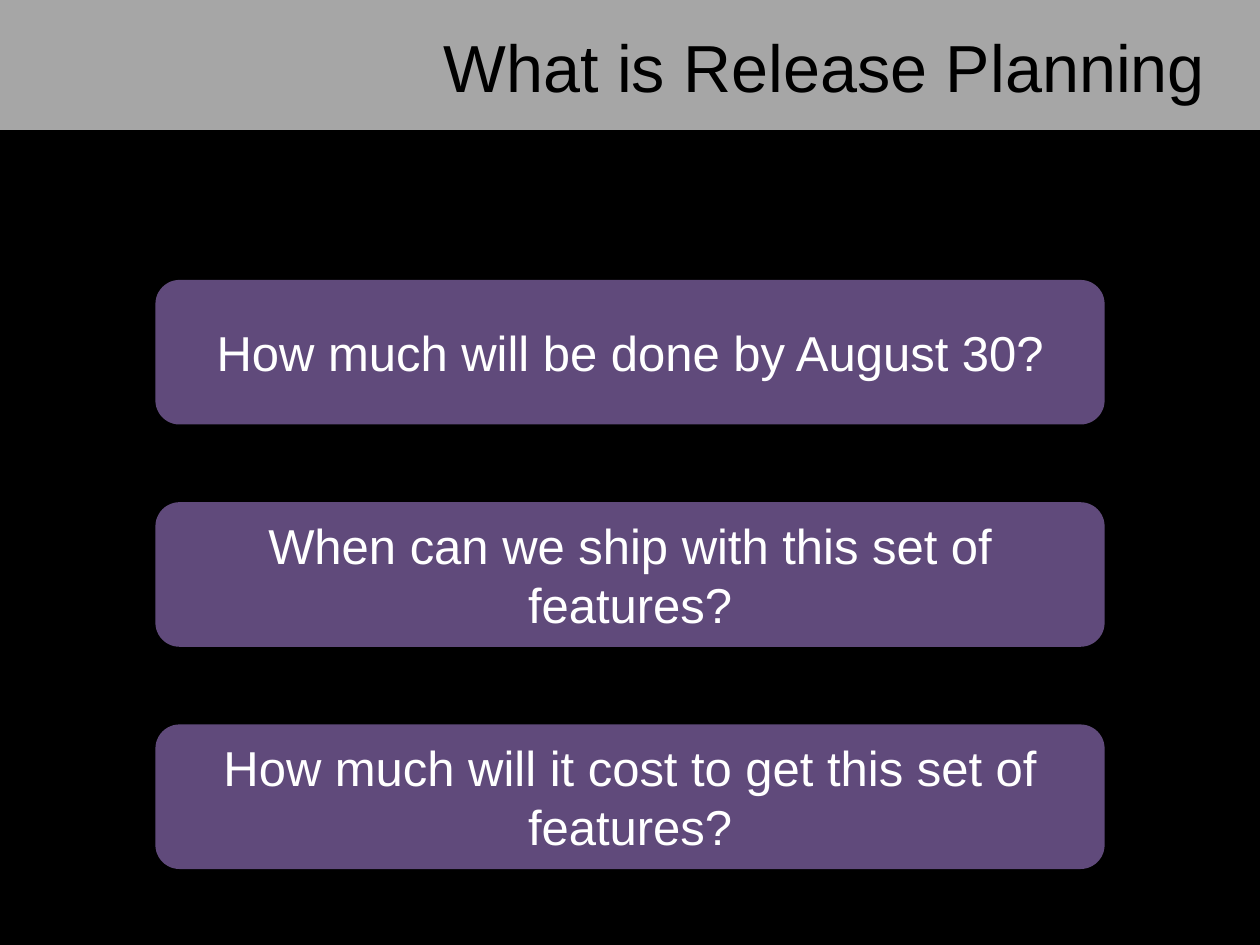
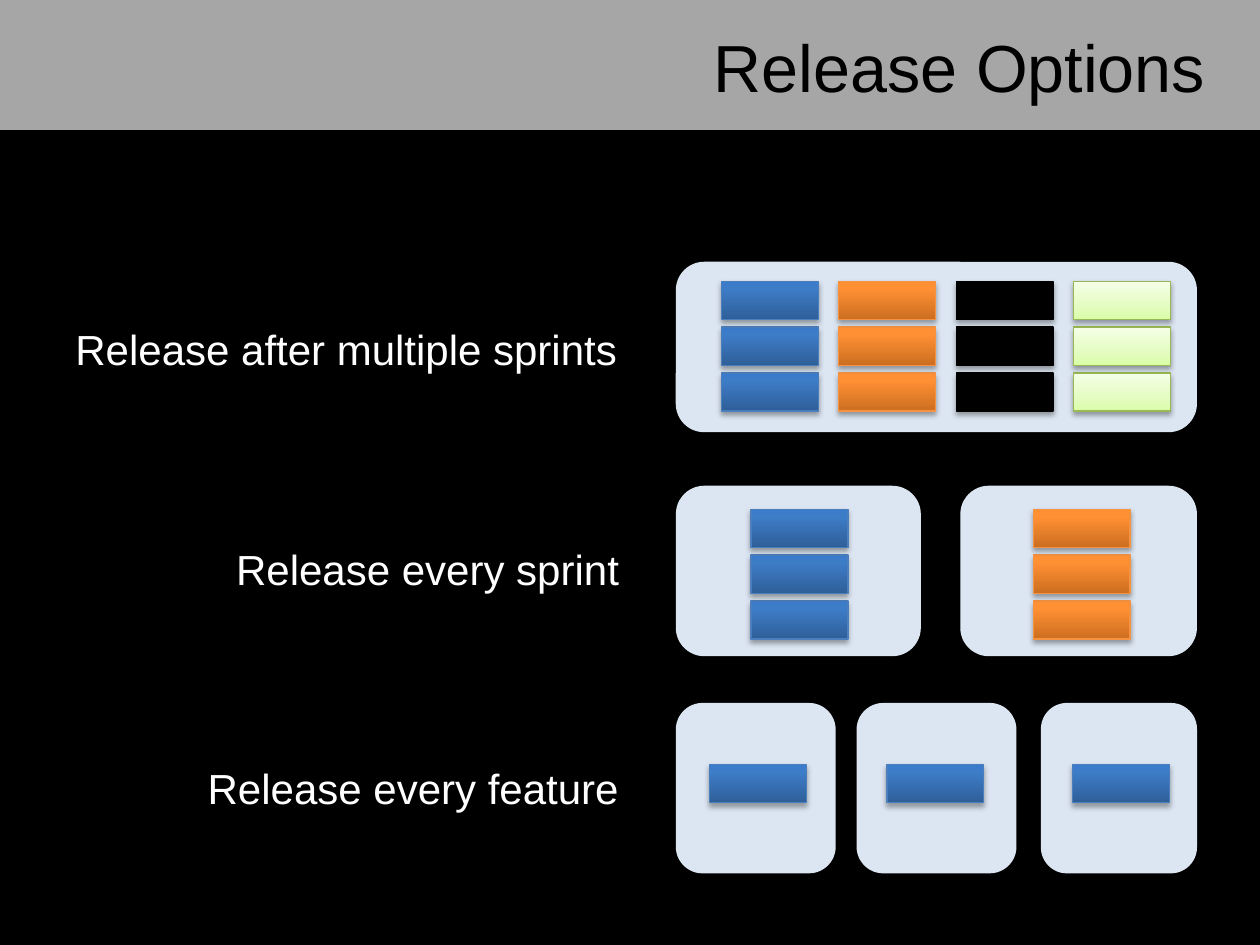
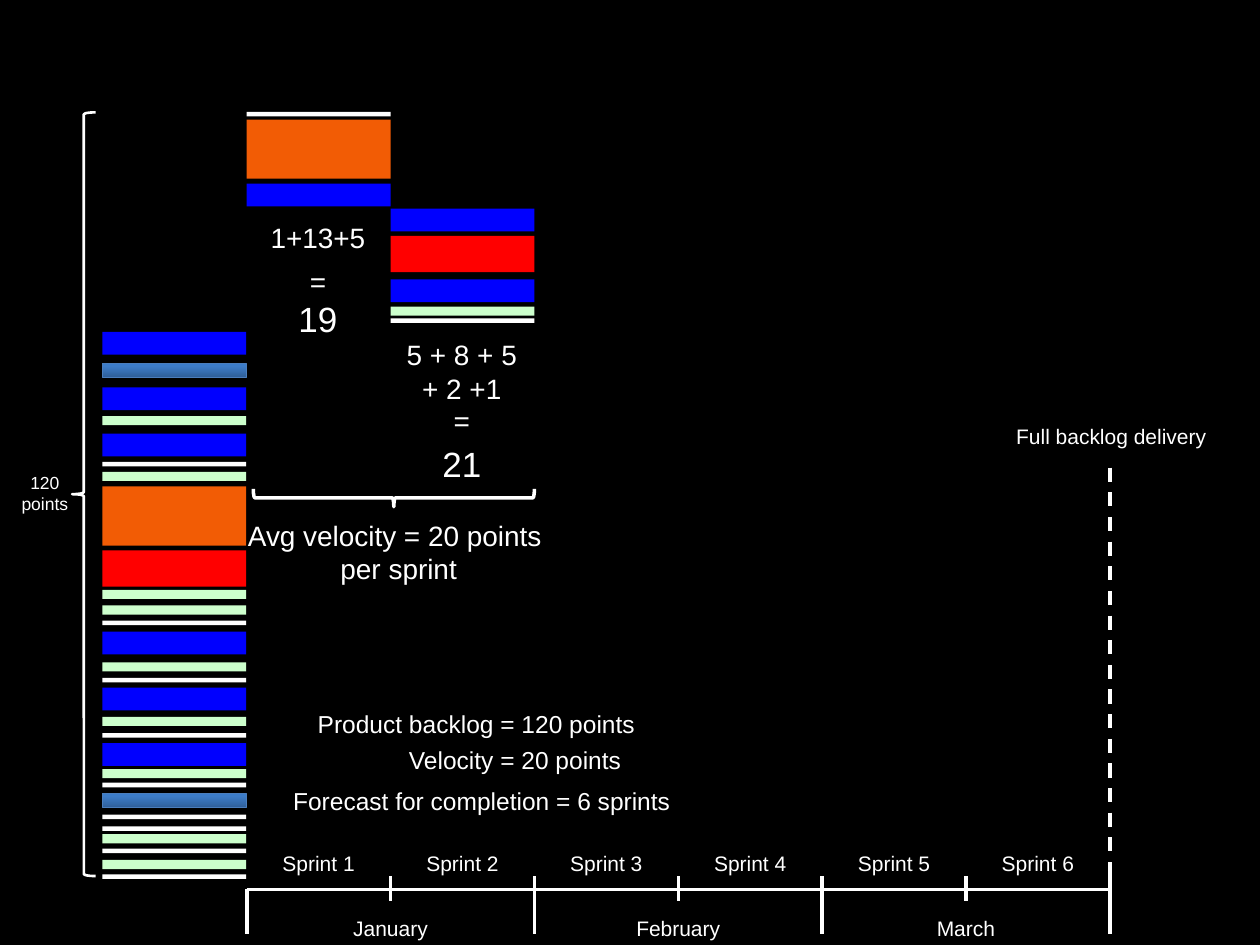
from collections import namedtuple
from copy import deepcopy

from lxml.etree import SubElement
from pptx import Presentation
from pptx.dml.color import RGBColor
from pptx.enum.dml import MSO_LINE
from pptx.enum.shapes import MSO_CONNECTOR, MSO_SHAPE
from pptx.enum.text import MSO_ANCHOR, MSO_AUTO_SIZE, PP_ALIGN
from pptx.oxml.ns import qn
from pptx.util import Pt

BLACK = RGBColor(0x00, 0x00, 0x00)
WHITE = RGBColor(0xFF, 0xFF, 0xFF)
GREY = RGBColor(0xA6, 0xA6, 0xA6)
PURPLE = RGBColor(0x60, 0x4A, 0x7B)
PALE_BLUE = RGBColor(0xDC, 0xE6, 0xF2)
BLUE = RGBColor(0x00, 0x00, 0xFF)
ORANGE = RGBColor(0xF2, 0x5C, 0x05)
RED = RGBColor(0xFF, 0x00, 0x00)
MINT = RGBColor(0xCC, 0xFF, 0xCC)
STEEL_DARK = RGBColor(0x2F, 0x5F, 0x99)
STEEL_MIDDLE = RGBColor(0x3D, 0x7C, 0xC7)
STEEL_LIGHT = RGBColor(0x3A, 0x7C, 0xCB)
STEEL_EDGE = RGBColor(0x4B, 0x7E, 0xBC)
AMBER_DARK = RGBColor(0xCC, 0x6E, 0x20)
AMBER_MIDDLE = RGBColor(0xFF, 0x90, 0x34)
AMBER_LIGHT = RGBColor(0xFF, 0x91, 0x36)
AMBER_EDGE = RGBColor(0xF6, 0x92, 0x40)
LIME_DARK = RGBColor(0xDA, 0xFD, 0xA7)
LIME_MIDDLE = RGBColor(0xE4, 0xFC, 0xC2)
LIME_LIGHT = RGBColor(0xF5, 0xFF, 0xE7)
LIME_EDGE = RGBColor(0x98, 0xB9, 0x55)

FONT = "Arial"
PAGE_WIDTH, PAGE_HEIGHT = 720, 540
BAND_HEIGHT = 74.2

Finish = namedtuple("Finish", "fill edge")
STEEL = Finish([(0, STEEL_DARK), (0.8, STEEL_MIDDLE), (1, STEEL_LIGHT)], STEEL_EDGE)
AMBER = Finish([(0, AMBER_DARK), (0.8, AMBER_MIDDLE), (1, AMBER_LIGHT)], AMBER_EDGE)
COAL = Finish(BLACK, BLACK)
LIME = Finish([(0, LIME_DARK), (0.35, LIME_MIDDLE), (1, LIME_LIGHT)], LIME_EDGE)


def write_text(frame, text, size=12, color=WHITE, align=PP_ALIGN.CENTER,
               anchor=MSO_ANCHOR.TOP, wrap=True, fit=MSO_AUTO_SIZE.NONE):
    frame.word_wrap = wrap
    frame.auto_size = fit
    frame.vertical_anchor = anchor
    for index, line in enumerate(text.split("\n")):
        para = frame.paragraphs[0] if index == 0 else frame.add_paragraph()
        para.alignment = align
        span = para.add_run()
        span.text = line
        span.font.name = FONT
        span.font.size = Pt(size)
        span.font.color.rgb = color


class SlideBuilder:
    def __init__(self):
        self.deck = Presentation()
        self.deck.slide_width = Pt(PAGE_WIDTH)
        self.deck.slide_height = Pt(PAGE_HEIGHT)
        self.page = None

    def new_page(self, title=None):
        layout = self.deck.slide_layouts[5 if title else 6]
        self.page = self.deck.slides.add_slide(layout)
        self.page.background.fill.solid()
        self.page.background.fill.fore_color.rgb = BLACK
        if title:
            self.title(title)

    def title(self, text):
        band = self.shape(0, 0, PAGE_WIDTH, BAND_HEIGHT, GREY)
        box = self.page.shapes.title
        box._element.addprevious(band._element)
        box.left, box.top = Pt(48.2), Pt(0.7)
        box.width, box.height = Pt(648), Pt(BAND_HEIGHT)
        write_text(box.text_frame, text, size=38, color=BLACK,
                   align=PP_ALIGN.RIGHT, anchor=MSO_ANCHOR.MIDDLE)

    def shape(self, left, top, width, height, fill=None, kind=MSO_SHAPE.RECTANGLE,
              edge=None, edge_width=0.75):
        box = self.page.shapes.add_shape(kind, Pt(left), Pt(top), Pt(width), Pt(height))
        box.shadow.inherit = False
        if fill is None:
            box.fill.background()
        elif isinstance(fill, list):
            self.gradient(box, fill)
        else:
            box.fill.solid()
            box.fill.fore_color.rgb = fill
        if edge is None:
            box.line.fill.background()
        else:
            box.line.color.rgb = edge
            box.line.width = Pt(edge_width)
        return box

    def gradient(self, box, stops):
        box.fill.gradient()
        box.fill.gradient_angle = 90
        stop_list = box._element.spPr.find(qn("a:gradFill")).find(qn("a:gsLst"))
        stop_list.append(deepcopy(stop_list[0]))
        for stop, (position, color) in zip(box.fill.gradient_stops, stops):
            stop.position = position
            stop.color.rgb = color

    def panel(self, left, top, width, height, fill):
        return self.shape(left, top, width, height, fill, MSO_SHAPE.ROUNDED_RECTANGLE)

    def card(self, left, top, finish):
        box = self.shape(left, top, 55.4, 21.8, finish.fill, edge=finish.edge)
        effects = box._element.spPr.find(qn("a:effectLst"))
        shadow = SubElement(effects, qn("a:outerShdw"), blurRad=str(Pt(3.1)),
                            dist=str(Pt(1.8)), dir="5400000", rotWithShape="0")
        color = SubElement(shadow, qn("a:srgbClr"), val=str(BLACK))
        SubElement(color, qn("a:alpha"), val="35000")

    def card_stack(self, left, top, finish, count=3):
        for row in reversed(range(count)):
            self.card(left, top + 26.2 * row, finish)

    def brace(self, left, top, width, height, edge_width, rotation=0):
        box = self.shape(left, top, width, height, None, MSO_SHAPE.LEFT_BRACE,
                         WHITE, edge_width)
        box.rotation = rotation

    def text(self, left, top, width, height, text, **style):
        box = self.page.shapes.add_textbox(Pt(left), Pt(top), Pt(width), Pt(height))
        write_text(box.text_frame, text, fit=MSO_AUTO_SIZE.SHAPE_TO_FIT_TEXT, **style)

    def line(self, start, end, dash=None):
        rule = self.page.shapes.add_connector(
            MSO_CONNECTOR.STRAIGHT, Pt(start[0]), Pt(start[1]), Pt(end[0]), Pt(end[1]))
        rule.line.color.rgb = WHITE
        rule.line.width = Pt(2)
        if dash:
            rule.line.dash_style = dash
        SubElement(rule._element.spPr, qn("a:effectLst"))


def build_questions(slides):
    slides.new_page("What is Release Planning")
    questions = ("How much will be done by August 30?",
                 "When can we ship with this set of features?",
                 "How much will it cost to get this set of features?")
    for row, question in enumerate(questions):
        box = slides.panel(88.8, 160 + 127 * row, 542.4, 82.6, PURPLE)
        write_text(box.text_frame, question, size=28, anchor=MSO_ANCHOR.MIDDLE)


def build_options(slides):
    slides.new_page("Release Options")
    labels = ((181.4, 327.6, "Release after multiple sprints"),
              (307.2, 235.8, "Release every sprint"),
              (432.2, 252, "Release every feature"))
    for top, width, label in labels:
        slides.text(363.6 - width, top, width, 36, label, size=24,
                    align=PP_ALIGN.LEFT, wrap=False)

    panel_rows = ((149.6, ((386.2, 297.8),)),
                  (277.6, ((386.2, 140), (548.8, 135.2))),
                  (401.7, ((386.2, 91.4), (489.5, 91.4), (594.8, 89.2))))
    for top, panels in panel_rows:
        for left, width in panels:
            slides.panel(left, top, width, 97.4, PALE_BLUE)

    for column, finish in enumerate((STEEL, AMBER, COAL, LIME)):
        slides.card_stack(412.2 + 67.1 * column, 160.7, finish)
    for left, finish in ((429.2, STEEL), (590.4, AMBER)):
        slides.card_stack(left, 291, finish)
    for left in (405.4, 506.8, 612.8):
        slides.card(left, 437, STEEL)


BAR_WIDTH = 82.2
POINT_HEIGHT = 2.6
TIMELINE_LEFT, TIMELINE_TOP = 141, 508.3
STORY_FINISHES = {1: Finish(WHITE, None), 2: Finish(MINT, None), 3: STEEL,
                  5: Finish(BLUE, None), 8: Finish(RED, None), 13: Finish(ORANGE, None)}
BACKLOG = ((189.6, 5), (207.8, 3), (221.4, 5), (237.8, 2), (247.8, 5), (264, 1),
           (269.7, 2), (278, 13), (314.5, 8), (337, 2), (346, 2), (354.7, 1),
           (361, 5), (378.5, 2), (387.4, 1), (393, 5), (409.6, 2), (418.9, 1),
           (424.7, 5), (439.5, 2), (447.3, 1), (453.6, 3), (465.6, 1), (472.2, 1),
           (476.7, 2), (485, 1), (491.4, 2), (499.6, 1))
FIRST_SPRINT = ((64, 1), (68.4, 13), (105, 5))
SECOND_SPRINT = ((119.2, 5), (134.8, 8), (159.6, 5), (175.2, 2), (182, 1))


def sprint_left(index):
    return TIMELINE_LEFT + BAR_WIDTH * index


def build_forecast(slides):
    slides.new_page()
    columns = ((58.5, BACKLOG), (sprint_left(0), FIRST_SPRINT), (sprint_left(1), SECOND_SPRINT))
    for left, stories in columns:
        for top, points in stories:
            finish = STORY_FINISHES[points]
            slides.shape(left, top, BAR_WIDTH, POINT_HEIGHT * points,
                         finish.fill, edge=finish.edge)

    slides.line((TIMELINE_LEFT, TIMELINE_TOP), (sprint_left(6), TIMELINE_TOP))
    for index in range(7):
        top = 500.6 if index else TIMELINE_TOP
        bottom = 514.8 if index % 2 else 533.5
        slides.line((sprint_left(index), top), (sprint_left(index), bottom))
    for index in range(6):
        slides.text(sprint_left(index), 482.4, BAR_WIDTH, 21.6, f"Sprint {index + 1}")
    for index, month in enumerate(("January", "February", "March")):
        slides.text(sprint_left(2 * index + 0.5), 519.4, BAR_WIDTH, 21.6, month)

    slides.brace(41.2, 64.2, 13.4, 436.4, 1.5)
    slides.text(5, 266.4, 41.2, 31.7, "120\npoints", size=10, wrap=False)
    slides.brace(220, 204.2, 10.2, 160.6, 2, rotation=270)

    sums = ((0, 122.4, 26.6, "1+13+5", 16), (0, 147.6, 26.6, "=", 16),
            (0, 166.5, 31.5, "19", 20), (1, 189.4, 46, "5 + 8 + 5 + 2 +1", 16),
            (1, 226.8, 26.6, "=", 16), (1, 249.3, 31.5, "21", 20))
    for sprint, top, height, label, size in sums:
        slides.text(sprint_left(sprint) - 0.4, top, BAR_WIDTH, height, label, size=size)

    slides.text(130.2, 292.6, 190.8, 46, "Avg velocity = 20 points\n per sprint", size=16)
    facts = ((174, 401.8, 196.6, "Product backlog = 120 points"),
             (226, 422.2, 136.8, "Velocity = 20 points"),
             (159.8, 445.7, 231.1, "Forecast for completion = 6 sprints"))
    for left, top, width, fact in facts:
        slides.text(left, top, width, 24.2, fact, size=14, wrap=False)

    slides.line((sprint_left(6), 267.2), (sprint_left(6), 533), MSO_LINE.DASH)
    slides.text(573.6, 238.3, 123.1, 21.6, "Full backlog delivery", align=PP_ALIGN.LEFT)


def main():
    slides = SlideBuilder()
    build_questions(slides)
    build_options(slides)
    build_forecast(slides)
    slides.deck.save("out.pptx")


if __name__ == "__main__":
    main()
